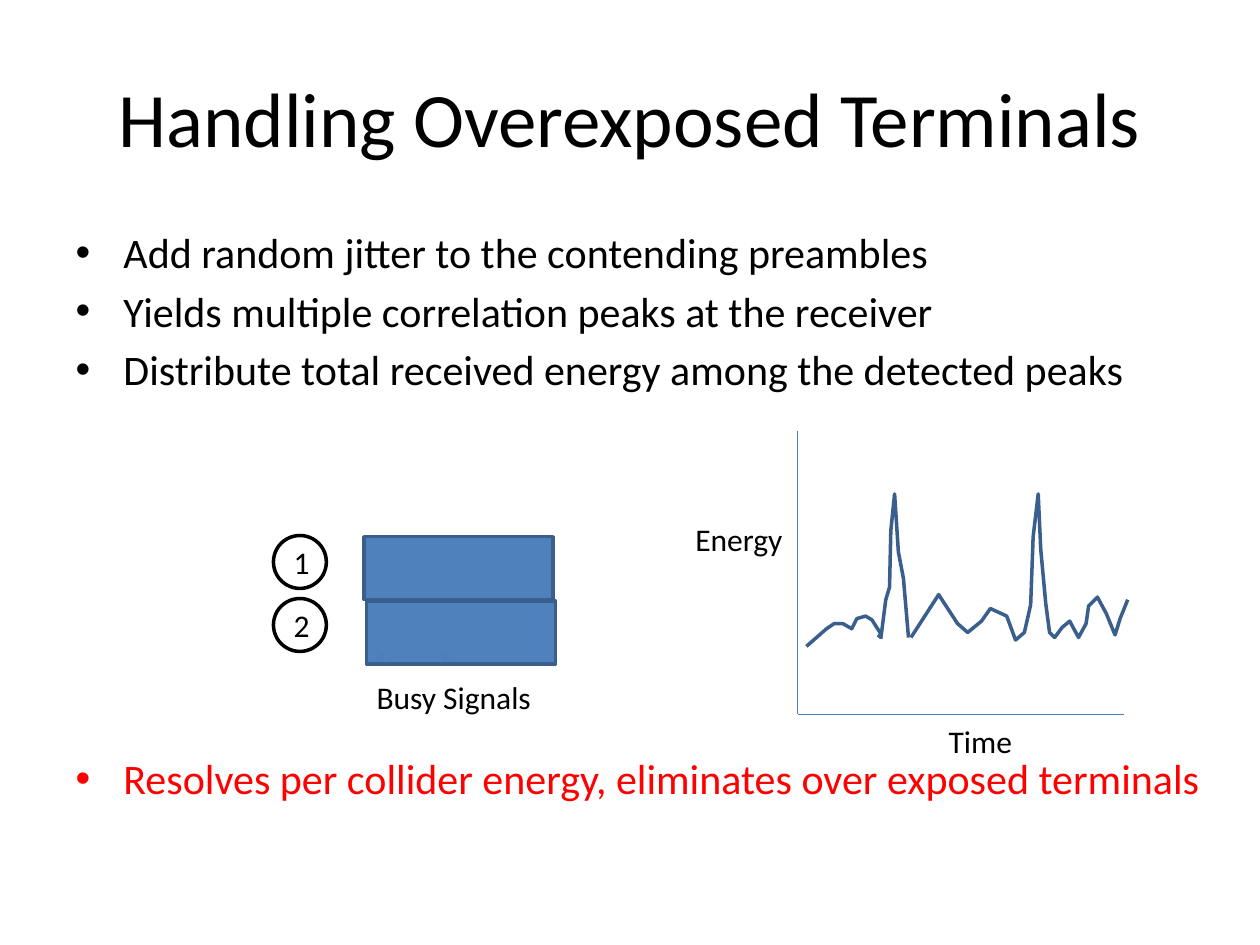
from dataclasses import dataclass
from lxml import etree
from pptx import Presentation
from pptx.dml.color import RGBColor
from pptx.enum.shapes import MSO_CONNECTOR, MSO_SHAPE
from pptx.enum.text import MSO_ANCHOR, PP_ALIGN
from pptx.oxml.ns import qn
from pptx.util import Pt

PX = 9144  # 100 px to the inch
RECT, OVAL = MSO_SHAPE.RECTANGLE, MSO_SHAPE.OVAL
LINE = MSO_CONNECTOR.STRAIGHT
MID, CENTER = MSO_ANCHOR.MIDDLE, PP_ALIGN.CENTER


@dataclass(frozen=True)
class Theme:
    font: str = "Calibri"
    black: RGBColor = RGBColor(0, 0, 0)
    white: RGBColor = RGBColor(255, 255, 255)
    red: RGBColor = RGBColor(255, 0, 0)
    fill: RGBColor = RGBColor(0x4F, 0x81, 0xBD)
    edge: RGBColor = RGBColor(0x3A, 0x5F, 0x8C)
    axis: RGBColor = RGBColor(0x4B, 0x7E, 0xBC)
    head: int = 44
    body: int = 24
    label: int = 18
    thick: float = 2
    thin: float = 0.75


T = Theme()


def style(par, size, color=T.black):
    for run in par.runs:
        run.font.name = T.font
        run.font.size = Pt(size)
        run.font.color.rgb = color


deck = Presentation()
deck.slide_width, deck.slide_height = 1000 * PX, 750 * PX
slide = deck.slides.add_slide(deck.slide_layouts[1])
shapes = slide.shapes

# Title and list
title, body = slide.placeholders
for box, place in ((title, (50, 30, 900, 125)), (body, (50, 175, 925, 525))):
    box.left, box.top, box.width, box.height = (v * PX for v in place)

title.text_frame.text = "Handling Overexposed Terminals"
title.text_frame.vertical_anchor = MID
title.text_frame.paragraphs[0].alignment = CENTER
style(title.text_frame.paragraphs[0], T.head)

points = [
    ("Add random jitter to the contending preambles", 0, T.black),
    ("Yields multiple correlation peaks at the receiver", 4.5, T.black),
    ("Distribute total received energy among the detected peaks", 4.5, T.black),
    ("Resolves per collider energy, eliminates over exposed terminals", 205, T.red),
]
body.text_frame.text = "\n".join(text for text, _, _ in points)
for par, (_, gap, color) in zip(body.text_frame.paragraphs, points):
    props = par._p.get_or_add_pPr()
    props.set("marL", str(38 * PX))
    props.set("indent", str(-38 * PX))
    par.space_before = Pt(gap)
    style(par, T.body, color)

# Busy signals and their senders
nodes = [
    (RECT, 289, 426, 150, 50, T.fill, T.edge, ""),
    (RECT, 291, 477, 150, 50, T.fill, T.edge, ""),
    (OVAL, 217, 425, 42, 42, T.white, T.black, "1"),
    (OVAL, 217, 475, 42, 42, T.white, T.black, "2"),
]
for kind, x, y, w, h, fill, edge, text in nodes:
    node = shapes.add_shape(kind, x * PX, y * PX, w * PX, h * PX)
    node.shadow.inherit = False
    node.fill.solid()
    node.fill.fore_color.rgb = fill
    node.line.color.rgb = edge
    node.line.width = Pt(T.thick)
    if text:
        node.text_frame.text = text
        node.text_frame.vertical_anchor = MID
        node.text_frame.paragraphs[0].alignment = CENTER
        style(node.text_frame.paragraphs[0], T.label)

# Jitter arrow, then the two axes
lines = [
    (298, 522, 358, 522, True),
    (633, 342, 633, 567, False),
    (892, 567, 633, 567, False),
]
for x1, y1, x2, y2, arrow in lines:
    line = shapes.add_connector(LINE, x1 * PX, y1 * PX, x2 * PX, y2 * PX)
    line.line.color.rgb = T.axis
    line.line.width = Pt(T.thin)
    if arrow:
        stroke = line.line._get_or_add_ln()
        for end in ("a:headEnd", "a:tailEnd"):
            etree.SubElement(stroke, qn(end), type="stealth")
    etree.SubElement(line._element.spPr, qn("a:effectLst"))

# Energy trace: noise, first peak, then noise with the second peak
waves = [
    [(640, 513), (656, 499), (662, 495), (669, 495), (676, 499), (680, 491),
     (687, 489), (692, 492), (699, 503), (697, 506)],
    [(699, 507), (703, 476), (706, 466), (707, 421), (710, 392), (713, 438),
     (717, 459), (721, 506)],
    [(723, 506), (745, 472), (760, 495), (768, 502), (779, 493), (786, 483),
     (799, 489), (806, 508), (813, 502), (818, 480), (820, 426), (824, 392),
     (826, 436), (830, 479), (833, 502), (837, 506), (843, 498), (849, 493),
     (856, 506), (862, 495), (864, 481), (871, 474), (878, 487), (885, 504),
     (889, 491), (895, 476)],
]
for start, *rest in waves:
    form = shapes.build_freeform(*start, scale=PX)
    form.add_line_segments(rest, close=False)
    trace = form.convert_to_shape()
    trace.shadow.inherit = False
    trace.fill.background()
    trace.line.color.rgb = T.edge
    trace.line.width = Pt(T.thick)

# Labels
labels = [
    ("Energy", 542, 408, 90),
    ("Time", 743, 568, 71),
    ("Busy Signals", 289, 533, 144),
]
for text, x, y, w in labels:
    label = shapes.add_textbox(x * PX, y * PX, w * PX, 40 * PX)
    label.text_frame.word_wrap = False
    label.text_frame.text = text
    style(label.text_frame.paragraphs[0], T.label)

deck.save("out.pptx")
